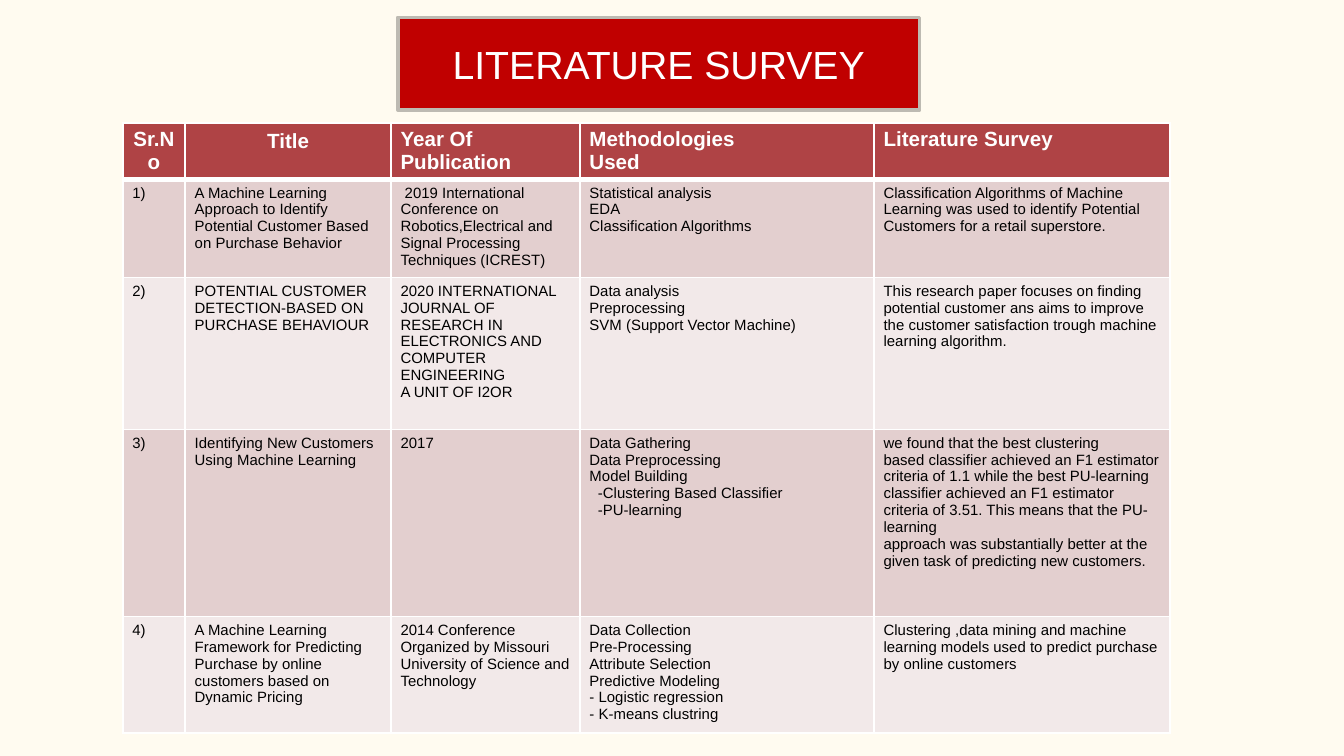
from lxml import etree
from pptx import Presentation
from pptx.dml.color import RGBColor
from pptx.enum.text import MSO_ANCHOR, MSO_AUTO_SIZE, PP_ALIGN
from pptx.oxml.ns import qn
from pptx.util import Cm, Pt

CENTER = PP_ALIGN.CENTER
LEFT = PP_ALIGN.LEFT
MIDDLE = MSO_ANCHOR.MIDDLE
TOP = MSO_ANCHOR.TOP
NO_FIT = MSO_AUTO_SIZE.NONE

CREAM = RGBColor(0xFF, 0xFB, 0xF0)
RED = RGBColor(0xC0, 0x00, 0x00)
GREY = RGBColor(0xBD, 0xBA, 0xB2)
BRICK = RGBColor(0xAF, 0x43, 0x45)
ROSE = RGBColor(0xE3, 0xCF, 0xCF)
BLUSH = RGBColor(0xF2, 0xE9, 0xE9)
WHITE = RGBColor(0xFF, 0xFF, 0xFF)
BLACK = RGBColor(0x00, 0x00, 0x00)

TITLE_FONT = {"name": "Arial", "size": Pt(21), "bold": False}
HEAD_FONT = {"name": "Arial", "size": Pt(11), "bold": True}
BODY_FONT = {"name": "Arial", "size": Pt(8), "bold": False}
TITLE_BOX = {"left": Cm(7.52), "top": Cm(0.33), "width": Cm(9.86), "height": Cm(1.75)}
TITLE_FRAME = {"auto_size": NO_FIT, "vertical_anchor": MIDDLE, "word_wrap": True}
CELL = {"margin_left": Cm(0.18), "margin_right": Cm(0.18),
        "margin_top": Cm(0.1), "margin_bottom": Cm(0.1), "vertical_anchor": TOP}
TIGHT = {"margin_left": Cm(0.15), "margin_right": Cm(0.15),
         "margin_top": 0, "margin_bottom": 0}

WIDTHS = [1.18, 3.89, 3.57, 5.56, 5.59]
HEIGHTS = [1.06, 1.86, 2.87, 3.54, 2.2]
HEADS = ["Sr.No", "Title", "Year Of Publication", "Methodologies\nUsed",
         "Literature Survey"]
STUDIES = [
    ["A Machine Learning Approach to Identify Potential Customer Based on Purchase Behavior",
     " 2019 International Conference on Robotics,Electrical and Signal Processing "
     "Techniques (ICREST)",
     "Statistical analysis\nEDA\nClassification Algorithms",
     "Classification Algorithms of Machine Learning was used to identify Potential "
     "Customers for a retail superstore."],
    ["POTENTIAL CUSTOMER DETECTION-BASED ON\nPURCHASE BEHAVIOUR",
     "2020 INTERNATIONAL JOURNAL OF RESEARCH IN ELECTRONICS AND COMPUTER ENGINEERING\n"
     "A UNIT OF I2OR",
     "Data analysis\nPreprocessing\nSVM (Support Vector Machine)",
     "This research paper focuses on finding potential customer ans aims to improve the "
     "customer satisfaction trough machine learning algorithm."],
    ["Identifying New Customers\nUsing Machine Learning",
     "2017",
     "Data Gathering\nData Preprocessing\nModel Building\n"
     "\t-Clustering Based Classifier\n\t-PU-learning",
     "we found that the best clustering\n"
     "based classifier achieved an F1 estimator criteria of 1.1 while the best PU-learning\n"
     "classifier achieved an F1 estimator criteria of 3.51. This means that the PU-learning\n"
     "approach was substantially better at the given task of predicting new customers."],
    ["A Machine Learning Framework for Predicting Purchase by online\n"
     "customers based on Dynamic Pricing",
     "2014 Conference Organized by Missouri University of Science and Technology",
     "Data Collection\nPre-Processing\nAttribute Selection\nPredictive Modeling\n"
     "- Logistic regression\n- K-means clustring",
     "Clustering ,data mining and machine learning models used to predict purchase by "
     "online customers"],
]


def apply(item, values):
    for key, value in values.items():
        setattr(item, key, value)


def paint(fill, color):
    fill.solid()
    fill.fore_color.rgb = color


def write(frame, text, font, color, align=LEFT):
    for i, line in enumerate(text.split("\n")):
        para = frame.paragraphs[0] if i == 0 else frame.add_paragraph()
        para.alignment = align
        if line.startswith("\t"):
            para._p.get_or_add_pPr().set("marL", str(Cm(0.16)))
        run = para.add_run()
        run.text = line.lstrip("\t")
        apply(run.font, font)
        run.font.color.rgb = color


def edge(cell, base):
    props = cell._tc.get_or_add_tcPr()
    for side, width in {"L": 1, "R": 1, "T": 1, "B": base}.items():
        line = etree.SubElement(props, qn("a:ln" + side), w=str(Pt(width)))
        fill = etree.SubElement(line, qn("a:solidFill"))
        etree.SubElement(fill, qn("a:srgbClr"), val=str(WHITE))


def add_title(slide, text):
    title = slide.shapes.title
    apply(title, TITLE_BOX)
    title.shadow.inherit = False
    paint(title.fill, RED)
    paint(title.line.fill, GREY)
    title.line.width = Pt(2)
    apply(title.text_frame, TITLE_FRAME)
    write(title.text_frame, text, TITLE_FONT, WHITE, CENTER)


def add_grid(slide):
    rows = [HEADS] + [[f"{n})"] + study for n, study in enumerate(STUDIES, 1)]
    frame = slide.shapes.add_table(len(rows), len(HEADS), Cm(2.32), Cm(2.32),
                                   Cm(sum(WIDTHS)), Cm(sum(HEIGHTS)))
    table = frame.table
    for col, width in zip(table.columns, WIDTHS):
        col.width = Cm(width)
    for r, texts in enumerate(rows):
        table.rows[r].height = Cm(HEIGHTS[r])
        head = r == 0
        shade = BRICK if head else ROSE if r % 2 else BLUSH
        font, color = (HEAD_FONT, WHITE) if head else (BODY_FONT, BLACK)
        for c, text in enumerate(texts):
            cell = table.cell(r, c)
            apply(cell, CELL)
            edge(cell, 3 if head else 1)
            paint(cell.fill, shade)
            write(cell.text_frame, text, font, color, CENTER if head and c < 2 else LEFT)
    label = table.cell(0, 1)
    apply(label, TIGHT)
    label.text_frame.paragraphs[0].line_spacing = 1.3


def main():
    deck = Presentation()
    apply(deck, {"slide_width": Cm(25.4), "slide_height": Cm(14.29)})
    slide = deck.slides.add_slide(deck.slide_layouts[5])
    paint(slide.background.fill, CREAM)
    add_title(slide, "LITERATURE SURVEY")
    add_grid(slide)
    deck.save("out.pptx")


if __name__ == "__main__":
    main()
